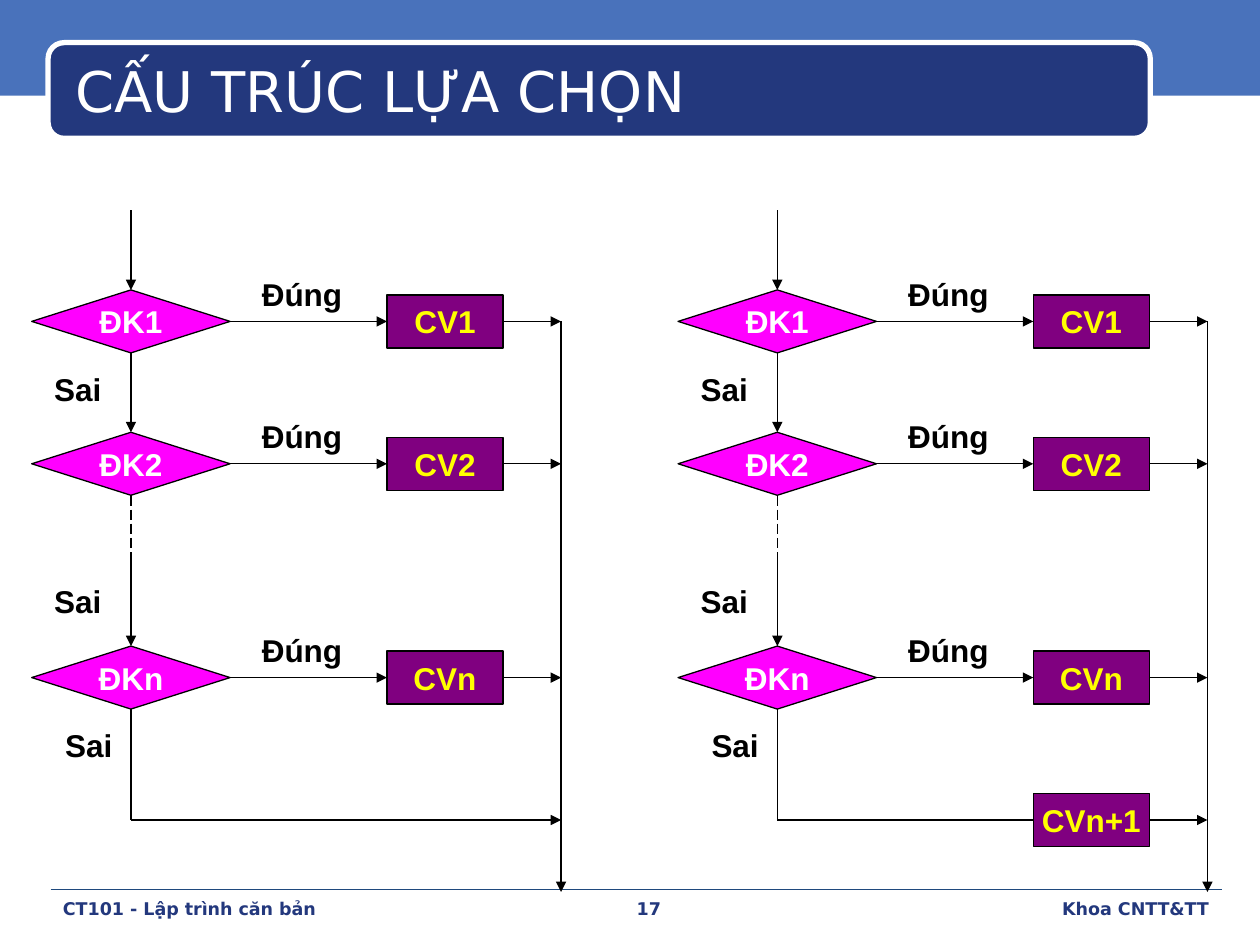
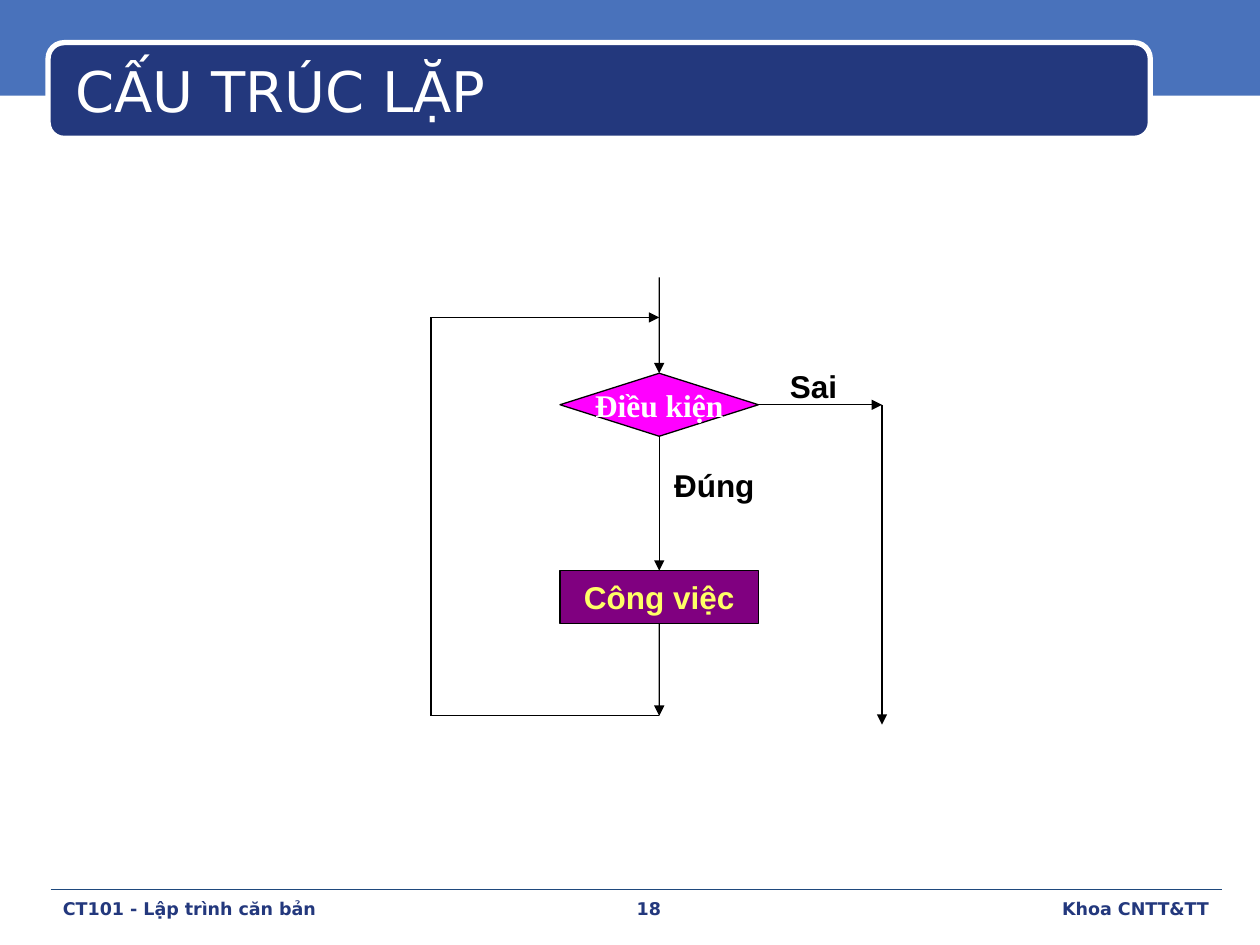
import collections

import lxml.etree
import pptx
import pptx.dml.color
import pptx.enum.dml
import pptx.enum.shapes
import pptx.enum.text
import pptx.oxml.ns
import pptx.util

Cm, Pt = pptx.util.Cm, pptx.util.Pt
RGBColor = pptx.dml.color.RGBColor
SHAPE = pptx.enum.shapes.MSO_SHAPE
ALIGN = pptx.enum.text.PP_ALIGN
ANCHOR = pptx.enum.text.MSO_ANCHOR
qn = pptx.oxml.ns.qn

SKY = RGBColor(0x49, 0x72, 0xBB)
NAVY = RGBColor(0x23, 0x38, 0x7D)
RULE_BLUE = RGBColor(0x1F, 0x49, 0x7D)
WHITE = RGBColor(0xFF, 0xFF, 0xFF)
BLACK = RGBColor(0, 0, 0)
MAGENTA = RGBColor(0xFF, 0, 0xFF)
PURPLE = RGBColor(0x80, 0, 0x80)
YELLOW = RGBColor(0xFF, 0xFF, 0)
PALE_YELLOW = RGBColor(0xFF, 0xFF, 0x66)

SLIDE_WIDTH, SLIDE_HEIGHT = 25.4, 19.05
DIAMOND_WIDTH, DIAMOND_HEIGHT = 4.0, 1.27
TASK_WIDTH, TASK_HEIGHT = 2.34, 1.07
LABEL_HEIGHT = 0.81

TITLE_FONT = {"name": "DejaVu Sans", "size": Pt(32), "bold": False}
FOOTER_FONT = {"name": "DejaVu Sans", "size": Pt(10), "bold": True}
CHART_FONT = {"name": "Arial", "size": Pt(18), "bold": True}

# The side of a shape where a connector is joined
Joint = collections.namedtuple("Joint", "shape side")
TOP, LEFT, BOTTOM, RIGHT = range(4)


def lengths(*values):
    return [Cm(value) for value in values]


def write(shape, text, color, font, align=ALIGN.CENTER, anchor=ANCHOR.MIDDLE,
          wrap=False, margins=(0.25, 0.13), tabs=()):
    """Put one paragraph in a shape; tabs are (position, alignment) pairs."""
    frame = shape.text_frame
    across, down = lengths(*margins)
    settings = {"word_wrap": wrap, "vertical_anchor": anchor,
                "margin_left": across, "margin_right": across,
                "margin_top": down, "margin_bottom": down}
    for name, value in settings.items():
        setattr(frame, name, value)
    paragraph = frame.paragraphs[0]
    paragraph.text = text
    paragraph.alignment = align
    if tabs:
        stops = lxml.etree.SubElement(paragraph._p.get_or_add_pPr(), qn("a:tabLst"))
        for position, side in tabs:
            lxml.etree.SubElement(stops, qn("a:tab"), pos=str(Cm(position)), algn=side)
    for name, value in font.items():
        setattr(paragraph.font, name, value)
    paragraph.font.color.rgb = color
    return paragraph


def filled(slide, kind, box, fill, line=None, line_width=0.75):
    shape = slide.shapes.add_shape(kind, *lengths(*box))
    shape.shadow.inherit = False
    shape.fill.solid()
    shape.fill.fore_color.rgb = fill
    if line is None:
        shape.line.fill.background()
    else:
        shape.line.color.rgb = line
        shape.line.width = Pt(line_width)
    return shape


def centred(center_x, center_y, width, height):
    return center_x - width / 2, center_y - height / 2, width, height


def condition(slide, center_x, center_y, text, font=CHART_FONT):
    box = centred(center_x, center_y, DIAMOND_WIDTH, DIAMOND_HEIGHT)
    diamond = filled(slide, SHAPE.DIAMOND, box, MAGENTA, BLACK)
    write(diamond, text, WHITE, font)
    return diamond


def task(slide, center_x, center_y, text, width=TASK_WIDTH, color=YELLOW):
    box = centred(center_x, center_y, width, TASK_HEIGHT)
    block = filled(slide, SHAPE.RECTANGLE, box, PURPLE, BLACK)
    write(block, text, color, CHART_FONT)
    return block


def label(slide, left, top, width, text, align=ALIGN.CENTER, side_margin=0.15):
    note = slide.shapes.add_textbox(*lengths(left, top, width, LABEL_HEIGHT))
    write(note, text, BLACK, CHART_FONT, align, ANCHOR.TOP, True, (side_margin, 0.03))


def link(slide, start, end, arrow=True, dashed=False, color=BLACK, width=0.75):
    """Draw a straight line between two ends, each an (x, y) in cm or a Joint."""
    points = [(0, 0) if isinstance(stop, Joint) else stop for stop in (start, end)]
    line = slide.shapes.add_connector(pptx.enum.shapes.MSO_CONNECTOR.STRAIGHT,
                                      *lengths(*points[0], *points[1]))
    if isinstance(start, Joint):
        line.begin_connect(*start)
    if isinstance(end, Joint):
        line.end_connect(*end)
    line.line.color.rgb = color
    line.line.width = Pt(width)
    if dashed:
        line.line.dash_style = pptx.enum.dml.MSO_LINE.LONG_DASH
    if arrow:
        lxml.etree.SubElement(line.line._get_or_add_ln(), qn("a:tailEnd"), type="triangle")
    lxml.etree.SubElement(line._element.spPr, qn("a:effectLst"))


def framed_slide(deck, title, number):
    """Add a blank slide with its bands, title and footer."""
    slide = deck.slides.add_slide(deck.slide_layouts[6])
    filled(slide, SHAPE.RECTANGLE, (0, 0, SLIDE_WIDTH, 1.93), SKY)
    band = filled(slide, SHAPE.ROUNDED_RECTANGLE, (0.97, 0.86, 22.22, 1.93), NAVY, WHITE, 3)
    band.adjustments[0] = 0.167
    heading = slide.shapes.add_textbox(*lengths(1.27, 1.02, 22.1, 1.78))
    write(heading, title, WHITE, TITLE_FONT, ALIGN.LEFT, wrap=True).line_spacing = 0.9

    link(slide, (1.02, 17.93), (24.64, 17.93), arrow=False, color=RULE_BLUE, width=0.5)
    footer = slide.shapes.add_textbox(*lengths(1.02, 17.98, 23.62, 0.71))
    write(footer, f"CT101 - Lập trình căn bản\t{number}\tKhoa CNTT&TT", NAVY, FOOTER_FONT,
          ALIGN.LEFT, ANCHOR.TOP, True, tabs=[(11.81, "ctr"), (23.1, "r")])
    return slide


def selection_flow(slide, left, top, default_task=None):
    """Chain of conditions, each with its own task, all leading to one exit."""
    axis, task_x, exit_x = left + 2, left + 8.33, left + 10.67
    rows = [top + 2.24, top + 5.11, top + 9.42]
    default_y = top + 12.29

    diamonds = []
    for row, suffix in zip(rows, "12n"):
        diamond = condition(slide, axis, row, f"ĐK{suffix}")
        block = task(slide, task_x, row, f"CV{suffix}")
        link(slide, Joint(diamond, RIGHT), Joint(block, LEFT))
        link(slide, Joint(block, RIGHT), (exit_x, row))
        label(slide, left + 4.28, row - 0.97, 2.34, "Đúng")
        diamonds.append(diamond)
    first, second, last = diamonds

    gap = (axis, top + 7.08)
    link(slide, (axis, top), Joint(first, TOP))
    link(slide, Joint(first, BOTTOM), Joint(second, TOP))
    link(slide, Joint(second, BOTTOM), gap, arrow=False, dashed=True)
    link(slide, gap, Joint(last, TOP))
    for dx, dy in [(0.08, 3.18), (0.08, 7.47), (0.3, 10.36)]:
        label(slide, left + dx, top + dy, 1.7, "Sai")

    corner = (axis, default_y)
    link(slide, Joint(last, BOTTOM), corner, arrow=False)
    if default_task:
        block = task(slide, task_x, default_y, default_task)
        link(slide, corner, Joint(block, LEFT), arrow=False)
        link(slide, Joint(block, RIGHT), (exit_x, default_y))
    else:
        link(slide, corner, (exit_x, default_y))
    link(slide, (exit_x, rows[0]), (exit_x, top + 13.74))


def loop_flow(slide, left, top):
    """Condition above a task, with a way back on the left and out on the right."""
    axis, exit_x = left + 4.6, left + 9.09
    condition_y, back_top, back_bottom = top + 2.57, top + 0.81, top + 8.84

    test = condition(slide, axis, condition_y, "Điều kiện",
                     {**CHART_FONT, "name": "Times New Roman"})
    work = task(slide, axis, top + 6.45, "Công việc", DIAMOND_WIDTH, PALE_YELLOW)
    link(slide, (axis, top), Joint(test, TOP))
    link(slide, Joint(test, BOTTOM), Joint(work, TOP))
    label(slide, left + 4.85, top + 3.78, 3.38, "Đúng", ALIGN.LEFT, 0.05)

    link(slide, Joint(work, BOTTOM), (axis, back_bottom))
    link(slide, (axis, back_bottom), (left, back_bottom), arrow=False)
    link(slide, (left, back_bottom), (left, back_top), arrow=False)
    link(slide, (left, back_top), (axis, back_top))

    link(slide, Joint(test, RIGHT), (exit_x, condition_y))
    link(slide, (exit_x, condition_y), (exit_x, top + 9.02))
    label(slide, left + 6.76, top + 1.78, 1.9, "Sai", side_margin=0.05)


def main():
    deck = pptx.Presentation()
    deck.slide_width, deck.slide_height = lengths(SLIDE_WIDTH, SLIDE_HEIGHT)

    selection = framed_slide(deck, "CẤU TRÚC LỰA CHỌN", 17)
    selection_flow(selection, 0.64, 4.24)
    selection_flow(selection, 13.67, 4.24, default_task="CVn+1")

    loop = framed_slide(deck, "CẤU TRÚC LẶP", 18)
    loop_flow(loop, 8.69, 5.59)

    deck.save("out.pptx")


if __name__ == "__main__":
    main()
